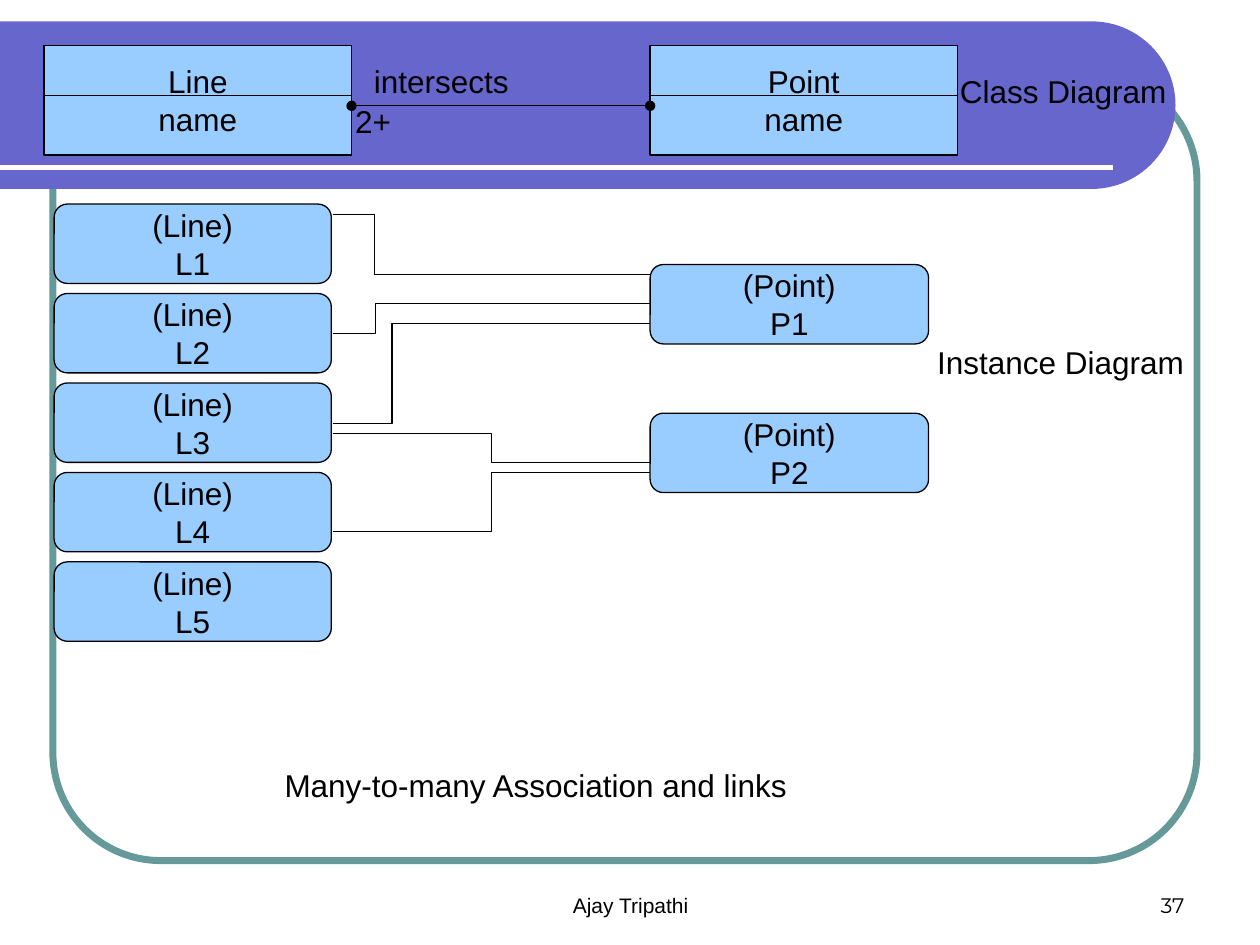
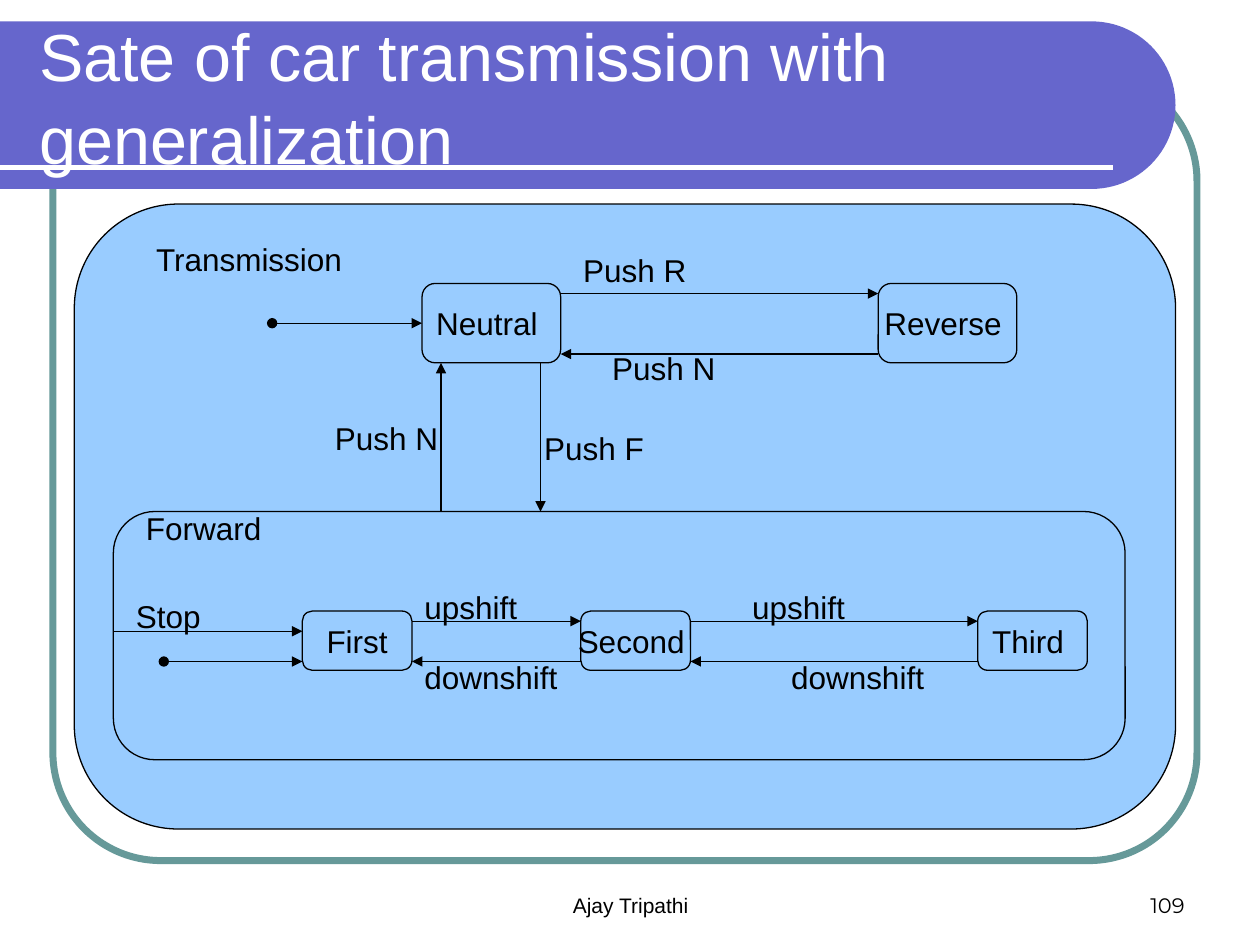
import math
from dataclasses import dataclass

import lxml.etree
import pptx
import pptx.dml.color
import pptx.enum.shapes
import pptx.enum.text
import pptx.oxml.ns
import pptx.shapes.autoshape
import pptx.shapes.base
import pptx.shapes.connector
import pptx.slide
import pptx.text.text
import pptx.util

Inches, Pt = pptx.util.Inches, pptx.util.Pt
SHAPE = pptx.enum.shapes.MSO_SHAPE
LINK = pptx.enum.shapes.MSO_CONNECTOR
ALIGN = pptx.enum.text.PP_ALIGN
ANCHOR = pptx.enum.text.MSO_ANCHOR
FIT = pptx.enum.text.MSO_AUTO_SIZE
qn = pptx.oxml.ns.qn

COLORS = {"band": "6666CC", "frame": "669999", "box": "99CCFF", "ink": "000000", "white": "FFFFFF"}
FONT, NUMBER_FONT = "Arial", "Montserrat"
TITLE_ONLY, BLANK = 5, 6


@dataclass
class Box:
    x: float
    y: float
    w: float
    h: float
    lines: tuple[str, ...] = ()
    kind: SHAPE = SHAPE.ROUNDED_RECTANGLE


@dataclass
class Label:
    x: float
    y: float
    w: float
    text: str
    wrap: bool = True


@dataclass
class Arrow:
    x1: float
    y1: float
    x2: float
    y2: float
    head: str = ""
    tail: str = "triangle"
    bend: float | None = None


def rgb(name: str) -> pptx.dml.color.RGBColor:
    return pptx.dml.color.RGBColor.from_string(COLORS[name])


def set_font(p: pptx.text.text._Paragraph, size: float = 18, color: str = "ink", name: str = FONT) -> None:
    p.font.name, p.font.size = name, Pt(size)
    p.font.color.rgb = rgb(color)


def set_line(shape: pptx.shapes.base.BaseShape, color: str = "ink", width: float = 0.75) -> None:
    shape.line.color.rgb = rgb(color)
    shape.line.width = Pt(width)


def add_box(s: pptx.slide.Slide, box: Box) -> pptx.shapes.autoshape.Shape:
    sp = s.shapes.add_shape(box.kind, Inches(box.x), Inches(box.y), Inches(box.w), Inches(box.h))
    sp.shadow.inherit = False
    sp.fill.solid()
    sp.fill.fore_color.rgb = rgb("box")
    set_line(sp)
    if box.lines:
        tf = sp.text_frame
        tf.text = "\n".join(box.lines)
        tf.word_wrap = False
        tf.vertical_anchor = ANCHOR.MIDDLE
        for p in tf.paragraphs:
            p.alignment = ALIGN.CENTER
            set_font(p)
    return sp


def add_label(s: pptx.slide.Slide, label: Label) -> None:
    sp = s.shapes.add_textbox(Inches(label.x), Inches(label.y), Inches(label.w), Inches(0.4))
    tf = sp.text_frame
    tf.text = label.text
    tf.word_wrap = label.wrap
    tf.auto_size = FIT.SHAPE_TO_FIT_TEXT
    p = tf.paragraphs[0]
    if label.wrap:
        p.space_before = Pt(11.2)
    set_font(p)


def add_arrow(s: pptx.slide.Slide, arrow: Arrow, color: str = "ink",
              width: float = 0.75) -> pptx.shapes.connector.Connector:
    kind = LINK.STRAIGHT if arrow.bend is None else LINK.ELBOW
    ends = (arrow.x1, arrow.y1, arrow.x2, arrow.y2)
    cxn = s.shapes.add_connector(kind, *(Inches(v) for v in ends))
    set_line(cxn, color, width)
    sp_pr = cxn._element.spPr
    lxml.etree.SubElement(sp_pr, qn("a:effectLst"))
    for tag, end in (("a:headEnd", arrow.head), ("a:tailEnd", arrow.tail)):
        if end:
            lxml.etree.SubElement(sp_pr.find(qn("a:ln")), qn(tag), type=end)
    if arrow.bend is not None:
        geom = sp_pr.find(qn("a:prstGeom"))
        guides = geom.find(qn("a:avLst"))
        if guides is None:
            guides = lxml.etree.SubElement(geom, qn("a:avLst"))
        lxml.etree.SubElement(guides, qn("a:gd"), name="adj1", fmla=f"val {round(arrow.bend * 100000)}")
    return cxn


def add_footer(s: pptx.slide.Slide, x: float, w: float, text: str, align: ALIGN, font: str) -> None:
    tf = s.shapes.add_textbox(Inches(x), Inches(6.83), Inches(w), Inches(0.5)).text_frame
    tf.text = text
    tf.word_wrap = True
    tf.vertical_anchor = ANCHOR.BOTTOM
    p = tf.paragraphs[0]
    p.alignment = align
    set_font(p, 12, name=font)


def add_base(prs: pptx.presentation.Presentation, layout: int, number: int) -> pptx.slide.Slide:
    """Slide with the frame, the round-ended band, its rule and the footer."""
    s = prs.slides.add_slide(prs.slide_layouts[layout])
    frame = s.shapes.add_shape(SHAPE.ROUNDED_RECTANGLE, Inches(0.42), Inches(0.58), Inches(9.08), Inches(6.25))
    frame.adjustments[0] = 0.137
    frame.shadow.inherit = False
    frame.fill.background()
    set_line(frame, "frame", 4)

    top, bottom, right, steps = 0.17, 1.5, 9.33, 48
    radius = (bottom - top) / 2
    angles = [math.pi * (i / steps - 0.5) for i in range(steps + 1)]
    curve = [(Inches(right - radius + radius * math.cos(a)), Inches(top + radius + radius * math.sin(a)))
             for a in angles]
    builder = s.shapes.build_freeform(0, Inches(top))
    builder.add_line_segments(curve + [(0, Inches(bottom))], close=True)
    band = builder.convert_to_shape()
    band.shadow.inherit = False
    band.fill.solid()
    band.fill.fore_color.rgb = rgb("band")
    band.line.fill.background()

    add_arrow(s, Arrow(0, 1.33, 8.83, 1.33, tail=""), "white", 3)
    add_footer(s, 3.42, 3.17, "Ajay Tripathi", ALIGN.CENTER, FONT)
    add_footer(s, 7.17, 2.33, str(number), ALIGN.RIGHT, NUMBER_FONT)
    return s


def add_title(s: pptx.slide.Slide, text: str) -> None:
    title = s.shapes.title
    s.shapes._spTree.append(title._element)  # bring in front of the band
    title.left, title.top, title.width, title.height = Inches(0.21), Inches(0.25), Inches(8.77), Inches(1)
    tf = title.text_frame
    tf.text = text
    tf.word_wrap = True
    tf.auto_size = FIT.NONE
    tf.vertical_anchor = ANCHOR.MIDDLE
    p = tf.paragraphs[0]
    p.alignment = ALIGN.LEFT
    p.line_spacing = 1.05
    set_font(p, 38, "white")


def build_association(prs: pptx.presentation.Presentation) -> None:
    s = add_base(prs, BLANK, 37)

    # Class diagram
    line_x, point_x, class_w = 0.35, 5.16, 2.44
    for x, name in ((line_x, "Line"), (point_x, "Point")):
        add_box(s, Box(x, 0.36, class_w, 0.87, (name, "name"), SHAPE.RECTANGLE))
        add_arrow(s, Arrow(x, 0.76, x + class_w, 0.76, tail=""))
    add_arrow(s, Arrow(line_x + class_w, 0.84, point_x, 0.84, "oval", "oval"))

    # Instances
    card = SHAPE.FLOWCHART_ALTERNATE_PROCESS
    for i in range(5):
        add_box(s, Box(0.43, 1.62 + 0.71 * i, 2.2, 0.63, ("(Line)", f"L{i + 1}"), card))
    for i in range(2):
        add_box(s, Box(point_x, 2.1 + 1.18 * i, 2.21, 0.63, ("(Point)", f"P{i + 1}"), card))

    # Links: height at the line, height at the point, position of the bend
    for y1, y2, bend_x in ((1.7, 2.18, 2.97), (4.22, 3.75, 3.9), (2.65, 2.41, 2.98),
                           (3.36, 2.57, 3.11), (3.44, 3.67, 3.9)):
        start = 2.64
        add_arrow(s, Arrow(start, y1, point_x, y2, tail="", bend=(bend_x - start) / (point_x - start)))

    for label in (
        Label(2.87, 0.44, 2.2, "intersects"),
        Label(2.72, 0.76, 0.55, "2+"),
        Label(2.16, 6.03, 6.38, "Many-to-many Association and links"),
        Label(7.52, 0.52, 1.84, "Class Diagram", wrap=False),
        Label(7.34, 2.67, 2.16, "Instance Diagram", wrap=False),
    ):
        add_label(s, label)


def build_transmission(prs: pptx.presentation.Presentation) -> None:
    s = add_base(prs, TITLE_ONLY, 109)
    add_title(s, "Sate of car transmission with generalization")

    # States
    forward = Box(0.9, 4.06, 8.03, 1.97)
    neutral = Box(3.35, 2.25, 1.1, 0.63, ("Neutral ",))
    reverse = Box(6.97, 2.25, 1.1, 0.63, ("Reverse ",))
    gears = [Box(x, 4.85, 0.87, 0.47, (name,))
             for x, name in ((2.4, "First"), (4.61, "Second "), (7.76, "Third "))]
    for box in (Box(0.59, 1.62, 8.74, 4.96), forward, reverse, *gears):
        add_box(s, box)
    neutral_sp = add_box(s, neutral)

    # Transitions there and back between neighbours
    first, second, third = gears
    for a, b in ((neutral, reverse), (first, second), (second, third)):
        up, down = a.y + 0.08, a.y + a.h - 0.07
        add_arrow(s, Arrow(a.x + a.w, up, b.x, up))
        add_arrow(s, Arrow(b.x, down, a.x + a.w, down))
    neutral_bottom = neutral.y + neutral.h
    add_arrow(s, Arrow(3.5, forward.y, 3.5, neutral_bottom))
    add_arrow(s, Arrow(4.29, neutral_bottom, 4.29, forward.y))

    # Entries
    middle = neutral.y + neutral.h / 2
    entry = add_arrow(s, Arrow(2.16, middle, neutral.x, middle, "oval"))
    entry.end_connect(neutral_sp, 1)
    add_arrow(s, Arrow(forward.x, 5.01, first.x, 5.01))
    add_arrow(s, Arrow(1.3, 5.25, first.x, 5.25, "oval"))

    for label in (
        Label(1.14, 1.86, 1.73, "Transmission"),
        Label(4.53, 1.94, 2.13, "Push R"),
        Label(4.76, 2.72, 2.13, "Push N"),
        Label(1.06, 3.99, 1.26, "Forward"),
        Label(3.27, 4.62, 1.18, "upshift"),
        Label(5.87, 4.62, 1.18, "upshift"),
        Label(3.27, 5.17, 1.26, "downshift"),
        Label(6.18, 5.17, 1.26, "downshift"),
        Label(0.98, 4.69, 0.87, "Stop"),
        Label(2.56, 3.28, 1.02, "Push N", wrap=False),
        Label(4.22, 3.36, 0.99, "Push F", wrap=False),
    ):
        add_label(s, label)


def main() -> None:
    prs = pptx.Presentation()
    prs.slide_width, prs.slide_height = Inches(10), Inches(7.5)
    build_association(prs)
    build_transmission(prs)
    prs.save("out.pptx")


if __name__ == "__main__":
    main()
